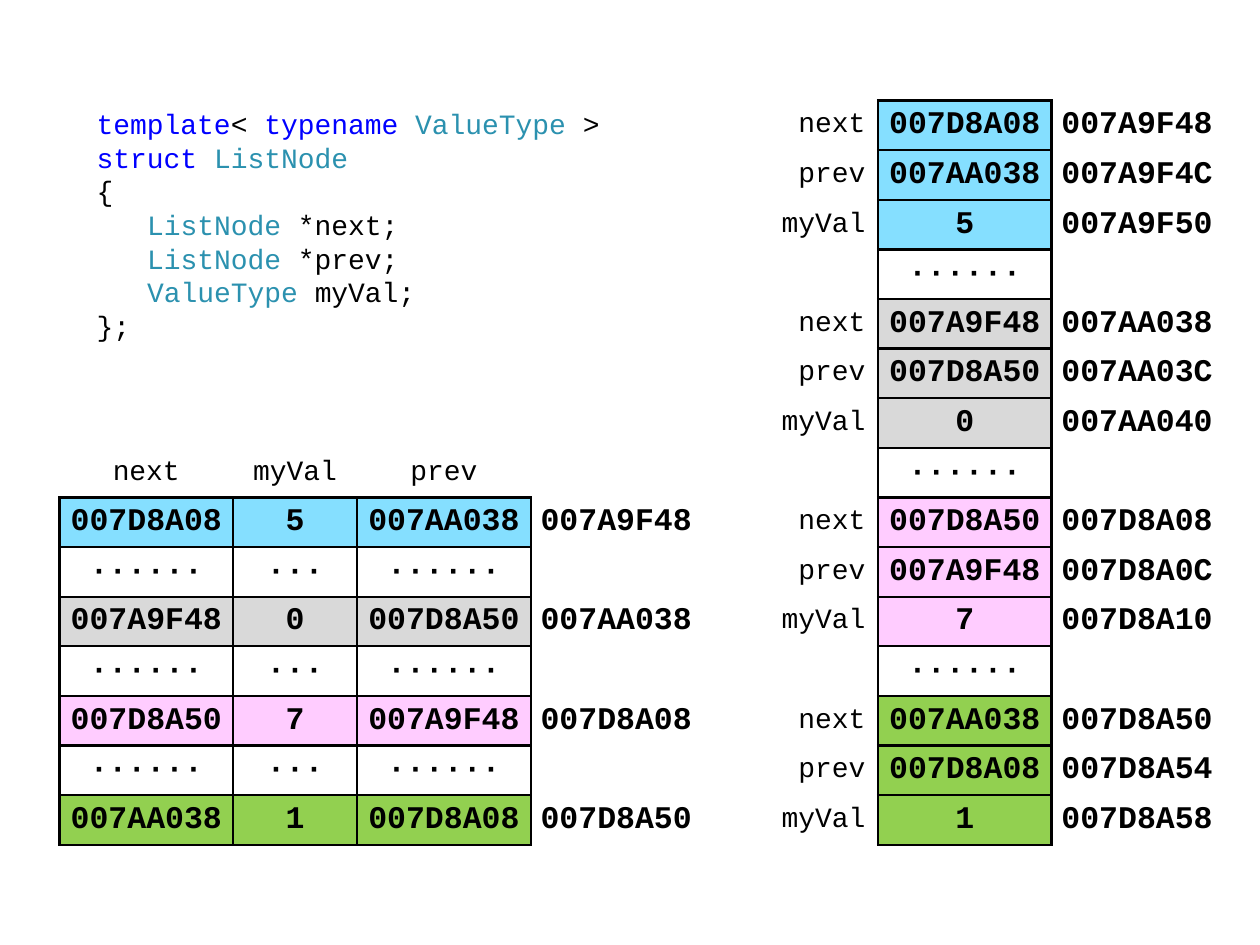
import dataclasses

import pptx
import pptx.dml.color
import pptx.enum.text
import pptx.oxml
import pptx.oxml.ns
import pptx.util

Pt = pptx.util.Pt
ALIGN = pptx.enum.text.PP_ALIGN
ANCHOR = pptx.enum.text.MSO_ANCHOR


@dataclasses.dataclass(frozen=True)
class Theme:
    font: str = "Courier New"
    ink: str = "000000"
    keyword: str = "0000FF"
    type_name: str = "2B91AF"
    label_size: float = 16
    value_size: float = 18
    code_leading: float = 19.2
    code_indent: float = 28.8
    border: float = 1.5
    row: float = 28.35
    value_column: float = 99.21
    short_column: float = 70.87
    value_inset: float = 5.67
    short_inset: float = 7.2


THEME = Theme()
NO_STYLE = "{2D5ABB26-0587-4C30-8999-92F81FD0307C}"


@dataclasses.dataclass(frozen=True)
class ListNode:
    address: int
    next: int
    prev: int
    value: int
    color: str


NODES = [
    ListNode(0x007A9F48, 0x007D8A08, 0x007AA038, 5, "85DFFF"),
    ListNode(0x007AA038, 0x007A9F48, 0x007D8A50, 0, "D9D9D9"),
    ListNode(0x007D8A08, 0x007D8A50, 0x007A9F48, 7, "FFCCFF"),
    ListNode(0x007D8A50, 0x007AA038, 0x007D8A08, 1, "92D050"),
]

# Each line: indent level, then (text, colour) pieces
CODE = [
    (0, [("template", THEME.keyword), ("< ", THEME.ink), ("typename ", THEME.keyword),
         ("ValueType", THEME.type_name), (" >", THEME.ink)]),
    (0, [("struct ", THEME.keyword), ("ListNode", THEME.type_name)]),
    (0, [("{", THEME.ink)]),
    (1, [("ListNode", THEME.type_name), (" *next;", THEME.ink)]),
    (1, [("ListNode", THEME.type_name), (" *prev;", THEME.ink)]),
    (1, [("ValueType ", THEME.type_name), ("myVal;", THEME.ink)]),
    (0, [("};", THEME.ink)]),
]


@dataclasses.dataclass(frozen=True)
class Entry:
    text: str = ""
    align: ALIGN = ALIGN.CENTER
    bold: bool = True
    boxed: bool = False
    color: str = ""


def hex_address(number):
    return f"{number:08X}"


def label(text, align=ALIGN.CENTER):
    return Entry(text, align, bold=False)


def address(number):
    return Entry(hex_address(number), ALIGN.LEFT)


def box(text, color=""):
    return Entry(text, boxed=True, color=color)


def style_run(run, size, color, bold=False):
    run.font.name = THEME.font
    run.font.size = Pt(size)
    run.font.bold = bold
    run.font.color.rgb = pptx.dml.color.RGBColor.from_string(color)


def draw_borders(cell, sides):
    properties = cell._tc.get_or_add_tcPr()
    for side in sides:
        properties.append(pptx.oxml.parse_xml(
            f'<a:ln{side} {pptx.oxml.ns.nsdecls("a")} w="{Pt(THEME.border)}">'
            f'<a:solidFill><a:srgbClr val="{THEME.ink}"/></a:solidFill></a:ln{side}>'))


def memory_table(slide, left, top, columns, entries):
    """Draw rows of entries; an edge has a line when a boxed entry touches it."""
    frame = slide.shapes.add_table(len(entries), len(columns), Pt(left), Pt(top),
                                   Pt(sum(columns)), Pt(THEME.row * len(entries)))
    table = frame.table
    table.first_row = table.horz_banding = False
    table._tbl.tblPr.find(pptx.oxml.ns.qn("a:tableStyleId")).text = NO_STYLE
    for column, width in zip(table.columns, columns):
        column.width = Pt(width)
    boxed = {(r, c) for r, row in enumerate(entries)
             for c, entry in enumerate(row) if entry.boxed}
    for r, row in enumerate(entries):
        table.rows[r].height = Pt(THEME.row)
        for c, entry in enumerate(row):
            cell = table.cell(r, c)
            neighbours = {"L": (r, c - 1), "R": (r, c + 1), "T": (r - 1, c), "B": (r + 1, c)}
            draw_borders(cell, [side for side, place in neighbours.items()
                                if entry.boxed or place in boxed])
            short = columns[c] == THEME.short_column
            inset = THEME.short_inset if short else THEME.value_inset
            cell.margin_left = cell.margin_right = Pt(inset)
            cell.margin_top = cell.margin_bottom = Pt(0)
            cell.vertical_anchor = ANCHOR.MIDDLE
            if entry.color:
                cell.fill.solid()
                cell.fill.fore_color.rgb = pptx.dml.color.RGBColor.from_string(entry.color)
            else:
                cell.fill.background()
            if entry.text:
                cell.text_frame.text = entry.text
                paragraph = cell.text_frame.paragraphs[0]
                paragraph.alignment = entry.align
                size = THEME.value_size if entry.bold else THEME.label_size
                style_run(paragraph.runs[0], size, THEME.ink, entry.bold)


def struct_code(slide, left, top, width, height):
    frame = slide.shapes.add_textbox(Pt(left), Pt(top), Pt(width), Pt(height)).text_frame
    frame.word_wrap = True
    for number, (level, pieces) in enumerate(CODE):
        line = frame.add_paragraph() if number else frame.paragraphs[0]
        line.line_spacing = Pt(THEME.code_leading)
        if level:
            line._p.get_or_add_pPr().set("marL", str(Pt(level * THEME.code_indent)))
        for text, color in pieces:
            run = line.add_run()
            run.text = text
            style_run(run, THEME.label_size, color)


def node_table(slide, left, top):
    """One row per node, with a gap row between nodes."""
    entries = [[label("next"), label("myVal"), label("prev"), Entry()]]
    for number, node in enumerate(NODES):
        if number:
            entries.append([box("·" * 6), box("·" * 3), box("·" * 6), Entry()])
        fields = (hex_address(node.next), str(node.value), hex_address(node.prev))
        entries.append([box(text, node.color) for text in fields] + [address(node.address)])
    wide, short = THEME.value_column, THEME.short_column
    memory_table(slide, left, top, [wide, short, wide, wide], entries)


def memory_column(slide, left, top):
    """One row per field, four bytes apart, with a gap row between nodes."""
    entries = []
    for number, node in enumerate(NODES):
        if number:
            entries.append([Entry(), box("·" * 6), Entry()])
        fields = {"next": hex_address(node.next), "prev": hex_address(node.prev),
                  "myVal": str(node.value)}
        for offset, (name, text) in enumerate(fields.items()):
            entries.append([label(name, ALIGN.RIGHT), box(text, node.color),
                            address(node.address + 4 * offset)])
    wide = THEME.value_column
    memory_table(slide, left, top, [THEME.short_column, wide, wide], entries)


presentation = pptx.Presentation()
presentation.slide_width, presentation.slide_height = Pt(720), Pt(540)
list_slide = presentation.slides.add_slide(presentation.slide_layouts[6])

# Code at top left, node rows below it, memory layout on the right
struct_code(list_slide, 48.2, 57.5, 312, 141.7)
node_table(list_slide, 34, 255.95)
memory_column(list_slide, 430.8, 57.5)

presentation.save("out.pptx")
